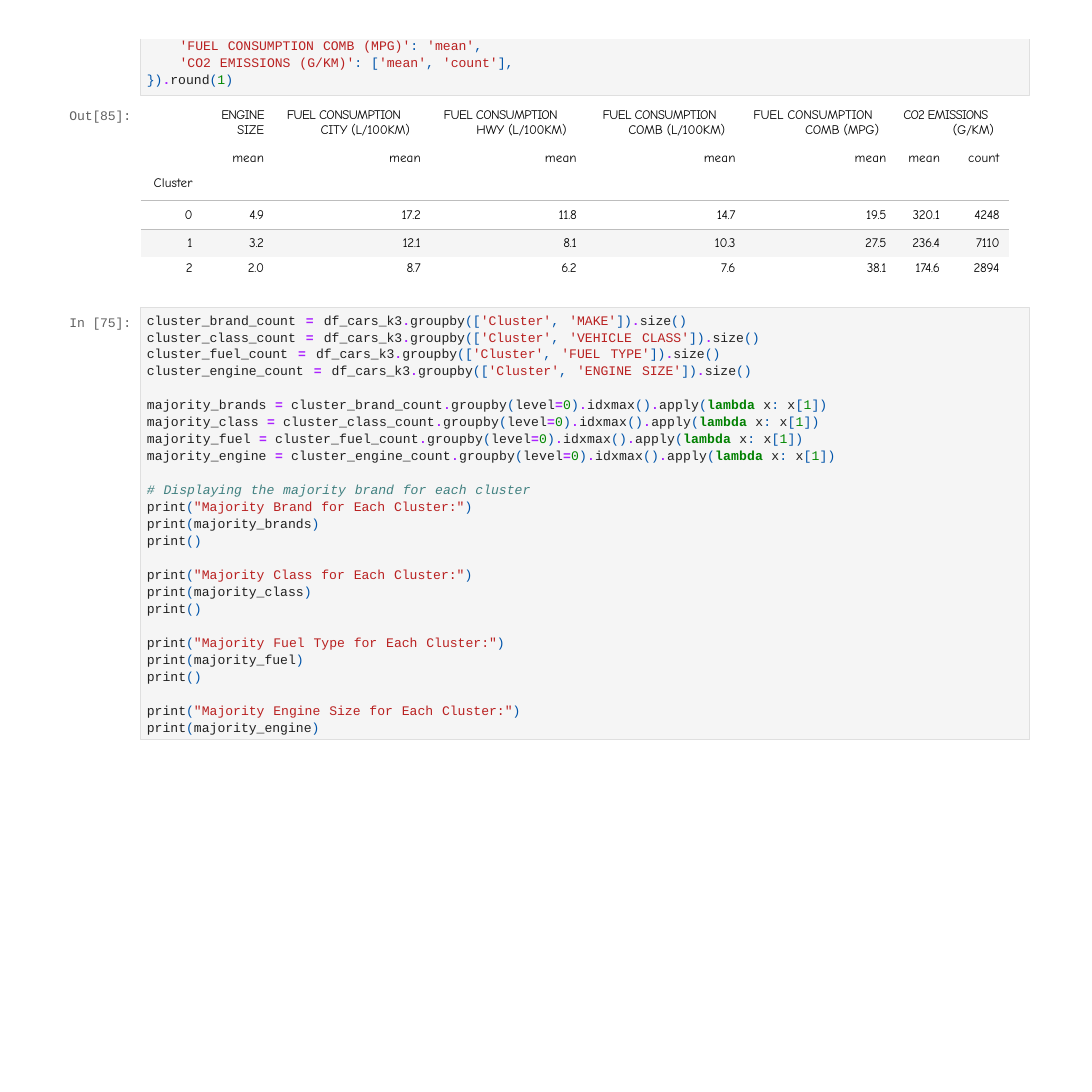
import itertools

import pptx
import pptx.dml.color
import pptx.enum.shapes
import pptx.enum.text
import pptx.oxml
import pptx.oxml.ns
import pptx.util

PX = 9144
COLORS = {
    "panel": "F5F5F5", "border": "DFDFDF", "rule": "BDBDBD", "prompt": "616161",
    "table": "000000", "name": "202020", "space": "202020", "string": "B92020",
    "bracket": "0054AA", "operator": "AA21FF", "number": "008700",
    "keyword": "008000", "comment": "408080",
}
CODE_FONT = {"name": "Courier New", "size": pptx.util.Pt(9.5)}
TABLE_FONT = {"name": "Comic Neue", "size": pptx.util.Pt(9.5)}
NO_STYLE = "{2D5ABB26-0587-4C30-8999-92F81FD0307C}"

COLUMN_WIDTHS = [71, 114, 158, 159, 156, 105, 58, 54]
COLUMN_INSETS = [19, 61, 61, 63, 59, 12, 16, 10]
ROW_HEIGHTS = [50, 29, 28, 22]
ROWS = [
    ["Cluster", "mean", "mean", "mean", "mean", "mean", "mean", "count"],
    ["0", "4.9", "17.2", "11.8", "14.7", "19.5", "320.1", "4248"],
    ["1", "3.2", "12.1", "8.1", "10.3", "27.5", "236.4", "7110"],
    ["2", "2.0", "8.7", "6.2", "7.6", "38.1", "174.6", "2894"],
]
HEADINGS = [
    (81, 16, "ENGINE", "SIZE", -60),
    (147, 34, "FUEL CONSUMPTION", "CITY (L/100KM)", -45),
    (305, 33, "FUEL CONSUMPTION", "HWY (L/100KM)", -45),
    (465, 26, "FUEL CONSUMPTION", "COMB (L/100KM)", -45),
    (617, 52, "FUEL CONSUMPTION", "COMB (MPG)", -20),
    (768, 50, "CO2 EMISSIONS", "(G/KM)", -60),
]

AGGREGATION = [
    (33, 0, 80, ["'FUEL CONSUMPTION COMB (MPG)': 'mean',",
                 "'CO2 EMISSIONS (G/KM)': ['mean', 'count'],"]),
    (0, 0, 0, ["}).round(1)"]),
]
COUNTS = [("brand", "MAKE"), ("class", "VEHICLE CLASS"),
          ("fuel", "FUEL TYPE"), ("engine", "ENGINE SIZE")]
MAJORITIES = [("brands", "brand"), ("class", "class"),
              ("fuel", "fuel"), ("engine", "engine")]
REPORTS = [("Brand", "brands"), ("Class", "class"),
           ("Fuel Type", "fuel"), ("Engine Size", "engine")]


def majority_code():
    counts = [f"cluster_{key}_count = df_cars_k3.groupby(['Cluster', '{field}']).size()"
              for key, field in COUNTS]
    picks = [f"majority_{result} = cluster_{key}_count.groupby(level=0)"
             ".idxmax().apply(lambda x: x[1])" for result, key in MAJORITIES]
    reports = [[f'print("Majority {label} for Each Cluster:")',
                f"print(majority_{result})", "print()"] for label, result in REPORTS]
    reports[0].insert(0, "# Displaying the majority brand for each cluster")
    reports[-1].pop()
    return [(0, 0, 160, counts), (0, 10, 20, picks)] + [
        (0, 0, 70, report) for report in reports]


def px(value):
    return pptx.util.Emu(value * PX)


def rgb(name):
    return pptx.dml.color.RGBColor.from_string(COLORS[name])


def apply_format(target, values):
    for name, value in values.items():
        setattr(target, name, value)


def add_span(para, text, font, color, spacing=0):
    span = para.add_run()
    span.text = text
    apply_format(span.font, font)
    span.font.color.rgb = rgb(color)
    if spacing:
        span.font._element.set("spc", str(spacing))


def format_frame(frame, left=0, top=0):
    apply_format(frame, {
        "margin_left": px(left), "margin_top": px(top),
        "margin_right": 0, "margin_bottom": 0, "word_wrap": True,
        "vertical_anchor": pptx.enum.text.MSO_ANCHOR.TOP,
    })


def add_text_box(page, box, left=0, top=0):
    shape = page.shapes.add_textbox(*map(px, box))
    format_frame(shape.text_frame, left, top)
    return shape.text_frame


def format_panel(shape):
    shape.shadow.inherit = False
    shape.fill.solid()
    shape.fill.fore_color.rgb = rgb("panel")
    shape.line.color.rgb = rgb("border")
    shape.line.width = pptx.util.Pt(0.75)


def classify(line):
    quote, kind = "", ""
    for char in line:
        if char == " ":
            kind = "space"
        elif line.startswith("#"):
            kind = "comment"
        elif quote or char in "'\"":
            kind = "string"
            if not quote:
                quote = char
            elif char == quote:
                quote = ""
        elif char in "=.":
            kind = "operator"
        elif char in "()[]{},:":
            kind = "bracket"
        elif char.isdigit() and kind != "name":
            kind = "number"
        else:
            kind = "name"
        yield kind, char


def write_code(frame, groups, pitch, gap):
    first = True
    for indent, letter_spacing, space_spacing, lines in groups:
        for index, line in enumerate(lines):
            para = frame.paragraphs[0] if first else frame.add_paragraph()
            apply_format(para, {
                "alignment": pptx.enum.text.PP_ALIGN.LEFT,
                "line_spacing": pptx.util.Pt(pitch),
                "space_before": pptx.util.Pt(0 if index or first else gap),
            })
            para._p.get_or_add_pPr().set("marL", str(px(indent)))
            first = False
            for kind, chars in itertools.groupby(classify(line), lambda pair: pair[0]):
                text = "".join(char for _, char in chars)
                kind = "keyword" if text == "lambda" else kind
                font = CODE_FONT | {"bold": kind in ("operator", "keyword"),
                                    "italic": kind == "comment"}
                spacing = space_spacing if kind == "space" else letter_spacing
                add_span(para, text, font, kind, spacing)


def add_prompt(page, box, text):
    frame = add_text_box(page, box, 1)
    add_span(frame.paragraphs[0], text, CODE_FONT, "prompt", -10)


def add_cut_cell(page, box):
    left, top, width, height = box
    builder = page.shapes.build_freeform(left, top, scale=PX)
    builder.add_line_segments([(left, top + height), (left + width, top + height),
                               (left + width, top)], close=False)
    format_panel(builder.convert_to_shape())
    frame = add_text_box(page, (left + 1, top - 3, width - 2, height - 1), 5)
    write_code(frame, AGGREGATION, 12.5, 0)


def add_code_cell(page, box):
    shape = page.shapes.add_shape(pptx.enum.shapes.MSO_SHAPE.RECTANGLE, *map(px, box))
    format_panel(shape)
    format_frame(shape.text_frame, 6, 3)
    write_code(shape.text_frame, majority_code(), 12.3, 12.3)


def add_bottom_rule(cell):
    namespace = pptx.oxml.ns.nsdecls("a")
    cell._tc.get_or_add_tcPr().append(pptx.oxml.parse_xml(
        f'<a:lnB {namespace} w="9525"><a:solidFill>'
        f'<a:srgbClr val="{COLORS["rule"]}"/></a:solidFill></a:lnB>'))


def add_summary_table(page, box):
    table = page.shapes.add_table(len(ROWS), len(COLUMN_WIDTHS), *map(px, box)).table
    apply_format(table, {"first_row": False, "horz_banding": False})
    table._tbl.tblPr.find(pptx.oxml.ns.qn("a:tableStyleId")).text = NO_STYLE
    for column, width in zip(table.columns, COLUMN_WIDTHS):
        column.width = px(width)
    for index, (row, height) in enumerate(zip(table.rows, ROW_HEIGHTS)):
        row.height = px(height)
        for cell, text, inset in zip(row.cells, ROWS[index], COLUMN_INSETS):
            anchor = pptx.enum.text.MSO_ANCHOR
            apply_format(cell, {
                "margin_left": 0, "margin_right": px(inset), "margin_bottom": 0,
                "margin_top": px(25 if text == "Cluster" else 0),
                "vertical_anchor": anchor.MIDDLE if index else anchor.TOP,
            })
            if index < 2:
                add_bottom_rule(cell)
            if index == 2:
                cell.fill.solid()
                cell.fill.fore_color.rgb = rgb("panel")
            else:
                cell.fill.background()
            para = cell.text_frame.paragraphs[0]
            para.alignment = pptx.enum.text.PP_ALIGN.RIGHT
            add_span(para, text, TABLE_FONT, "table", -20 if index else 10)


def add_headings(page, box):
    left, top, width, height = box
    for offset, indent, upper, lower, spacing in HEADINGS:
        frame = add_text_box(page, (left + offset, top, width, height))
        para = frame.paragraphs[0]
        para.line_spacing = pptx.util.Pt(11.3)
        properties = para._p.get_or_add_pPr()
        properties.set("marL", str(px(indent)))
        properties.set("indent", str(px(-indent)))
        add_span(para, upper, TABLE_FONT, "table", spacing)
        para.add_line_break()
        add_span(para, lower, TABLE_FONT, "table", -20)


def main():
    deck = pptx.Presentation()
    apply_format(deck, {"slide_width": px(1100), "slide_height": px(1100)})
    page = deck.slides.add_slide(deck.slide_layouts[6])
    add_summary_table(page, (142, 152, 883, 128))
    add_cut_cell(page, (142, 39, 895, 57))
    add_headings(page, (142, 107, 136, 35))
    add_prompt(page, (69, 108, 68, 19), "Out[85]:")
    add_prompt(page, (69, 317, 68, 19), "In [75]:")
    add_code_cell(page, (142, 310, 895, 435))
    deck.save("out.pptx")


if __name__ == "__main__":
    main()
